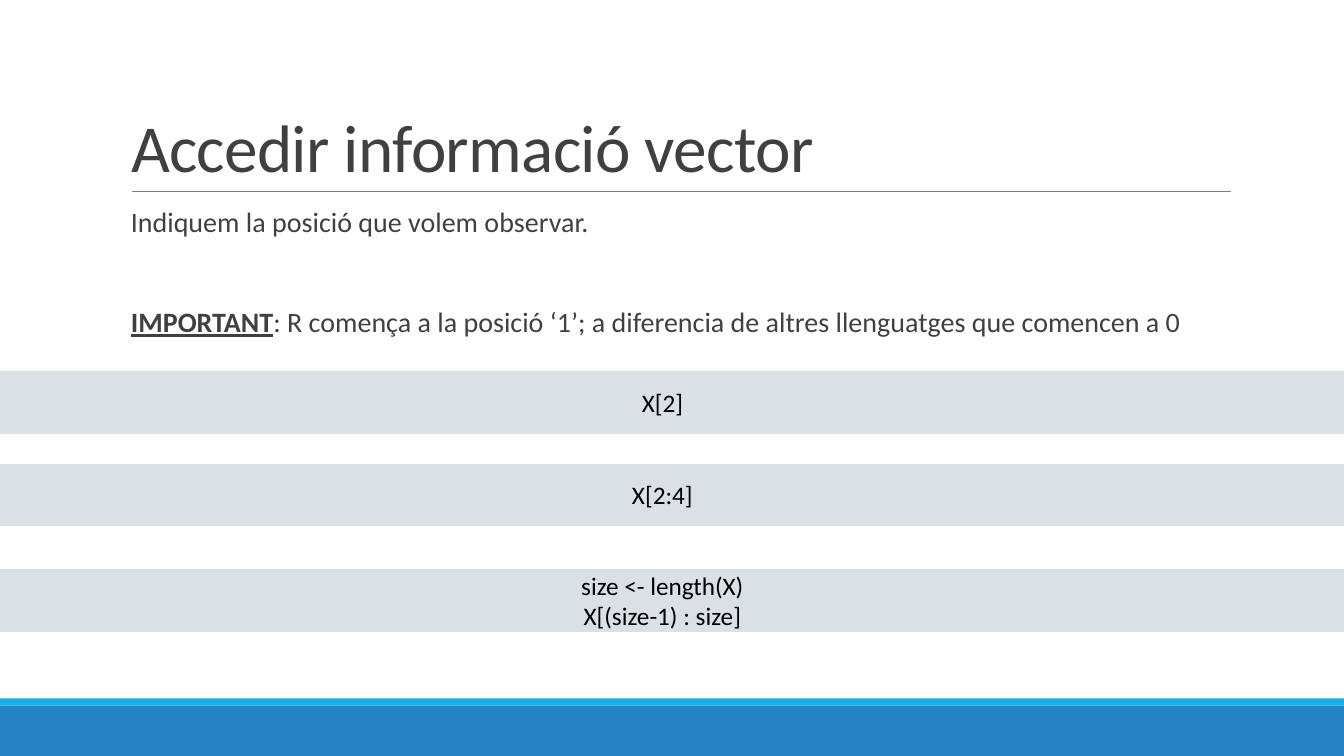
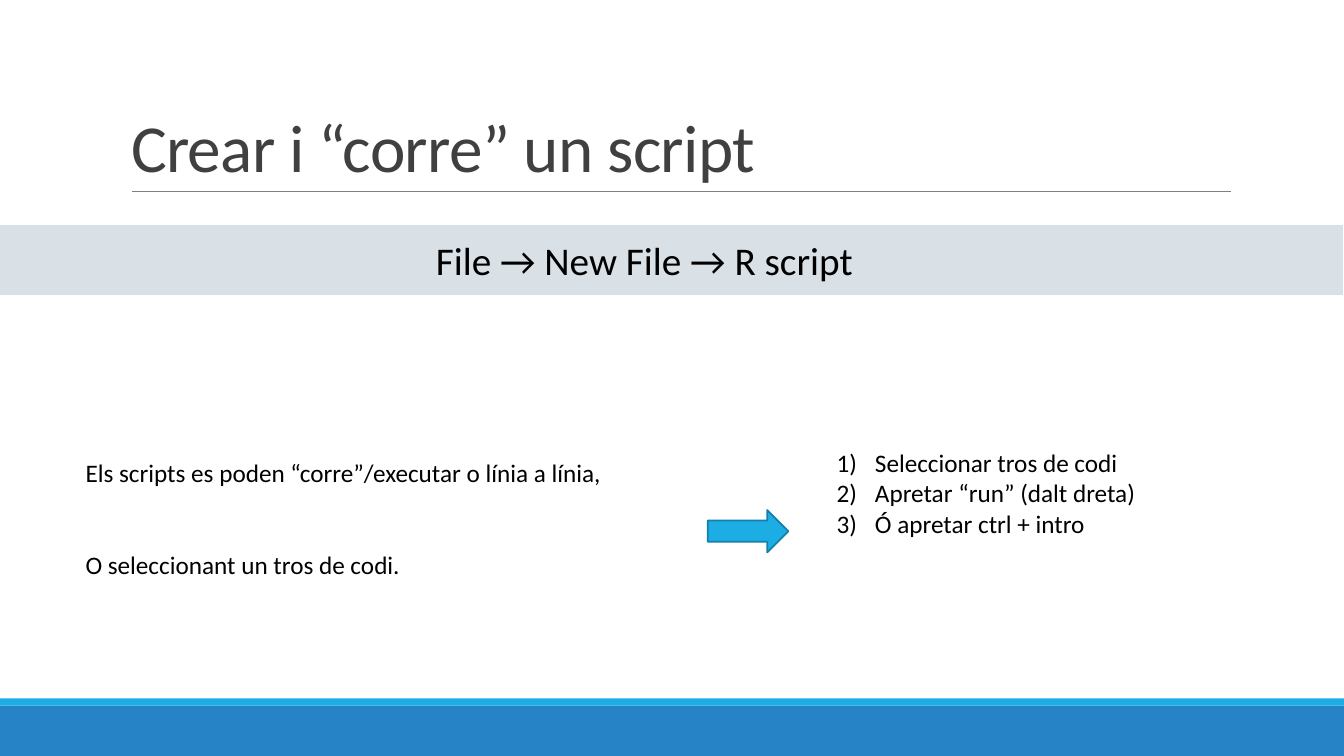
from dataclasses import dataclass

from lxml import etree
from pptx import Presentation
from pptx import util as u
from pptx.dml.color import RGBColor
from pptx.enum import shapes, text
from pptx.oxml.ns import qn

Inches, Pt = u.Inches, u.Pt


@dataclass(frozen=True)
class Theme:
    font: str = "Calibri"
    ink: str = "000000"
    grey: str = "404040"
    rule: str = "808080"
    blue: str = "2683C6"
    cyan: str = "1CADE4"
    cyan_dark: str = "1580A9"
    band: str = "D9E0E6"
    white: str = "FFFFFF"
    title: int = 48
    lead: int = 28
    body: int = 20
    code: int = 18


T = Theme()


def write(tf, paras, size=T.code, color=T.ink, align=text.PP_ALIGN.LEFT,
          anchor=text.MSO_ANCHOR.TOP, line=1.0, gap=0, spacing=0, numbered=False):
    """Fill tf; a paragraph is a string or a list of (text, strong) runs."""
    tf.word_wrap = True
    tf.vertical_anchor = anchor
    for i, runs in enumerate(paras):
        p = tf.paragraphs[0] if i == 0 else tf.add_paragraph()
        p.alignment, p.line_spacing = align, line
        p.space_before = Pt(gap if i else 0)
        if numbered:
            pPr = p._p.get_or_add_pPr()
            pPr.set("marL", str(Inches(0.38)))
            pPr.set("indent", str(-Inches(0.38)))
            etree.SubElement(pPr, qn("a:buFont"), typeface="+mj-lt")
            etree.SubElement(pPr, qn("a:buAutoNum"), type="arabicParenR")
        for words, strong in [(runs, False)] if isinstance(runs, str) else runs:
            r = p.add_run()
            r.text = words
            r.font.name, r.font.size = T.font, Pt(size)
            r.font.bold = r.font.underline = strong
            r.font.color.rgb = RGBColor.from_string(color)
            if spacing:
                r._r.get_or_add_rPr().set("spc", str(spacing))


def add_block(s, x, y, w, h, fill, line=None, kind=shapes.MSO_SHAPE.RECTANGLE):
    sp = s.shapes.add_shape(kind, Inches(x), Inches(y), Inches(w), Inches(h))
    sp.shadow.inherit = False
    sp.fill.solid()
    sp.fill.fore_color.rgb = RGBColor.from_string(fill)
    if line:
        sp.line.color.rgb = RGBColor.from_string(line)
        sp.line.width = Pt(1.25)
    else:
        sp.line.fill.background()
    return sp


prs = Presentation()
prs.slide_width, prs.slide_height = Inches(13.33), Inches(7.5)
centred = dict(align=text.PP_ALIGN.CENTER, anchor=text.MSO_ANCHOR.MIDDLE)

# Shared frame: footer bands, title and rule
slides = []
for title in ("Accedir informació vector", "Crear i “corre” un script"):
    s = prs.slides.add_slide(prs.slide_layouts[5])
    add_block(s, 0, 7, 13.33, 0.5, T.blue)
    add_block(s, 0, 6.93, 13.33, 0.07, T.cyan)
    rule = s.shapes.add_connector(shapes.MSO_CONNECTOR.STRAIGHT,
                                  Inches(1.31), Inches(1.9), Inches(12.21), Inches(1.9))
    rule.line.color.rgb = RGBColor.from_string(T.rule)
    rule.line.width = Pt(0.5)
    etree.SubElement(rule._element.spPr, qn("a:effectLst"))
    ph = s.shapes.title
    ph.left, ph.top, ph.width, ph.height = (Inches(v) for v in (1.2, 0.31, 11, 1.59))
    ph.text_frame.auto_size = text.MSO_AUTO_SIZE.NONE
    write(ph.text_frame, [title], size=T.title, color=T.grey,
          anchor=text.MSO_ANCHOR.BOTTOM, line=0.85, spacing=-50)
    slides.append(s)
vector, script = slides

# Slide 1: reading positions of a vector
tb = vector.shapes.add_textbox(Inches(1.2), Inches(2.02), Inches(11), Inches(1.5))
tb.text_frame.margin_right = 0
write(tb.text_frame, [
    "Indiquem la posició que volem observar.",
    [("IMPORTANT", True),
     (": R comença a la posició ‘1’; a diferencia de altres llenguatges que comencen a 0", False)],
], size=T.body, color=T.grey, line=0.9, gap=50)

for y, code in ((3.67, ["X[2]"]),
                (4.59, ["X[2:4]"]),
                (5.64, ["size <- length(X)", "X[(size-1) : size]"])):
    sp = add_block(vector, -0.28, y, 13.7, 0.64, T.band, T.white)
    write(sp.text_frame, code, **centred)

# Slide 2: creating and running a script
sp = add_block(script, -0.37, 2.22, 13.7, 0.72, T.band, T.white)
sp.text_frame.margin_right = Inches(0.28)
write(sp.text_frame, ["File → New File → R script"], size=T.lead, **centred)

tb = script.shapes.add_textbox(Inches(0.75), Inches(4.49), Inches(5.43), Inches(1.31))
write(tb.text_frame, ["Els scripts es poden “corre”/executar o línia a línia,",
                      "O seleccionant un tros de codi."], gap=44)

add_block(script, 7.02, 5.06, 0.8, 0.42, T.cyan, T.cyan_dark, shapes.MSO_SHAPE.RIGHT_ARROW)

tb = script.shapes.add_textbox(Inches(8.2), Inches(4.39), Inches(3.24), Inches(1.01))
write(tb.text_frame, ["Seleccionar tros de codi", "Apretar “run” (dalt dreta)",
                      "Ó apretar ctrl + intro"], numbered=True)

prs.save("out.pptx")
